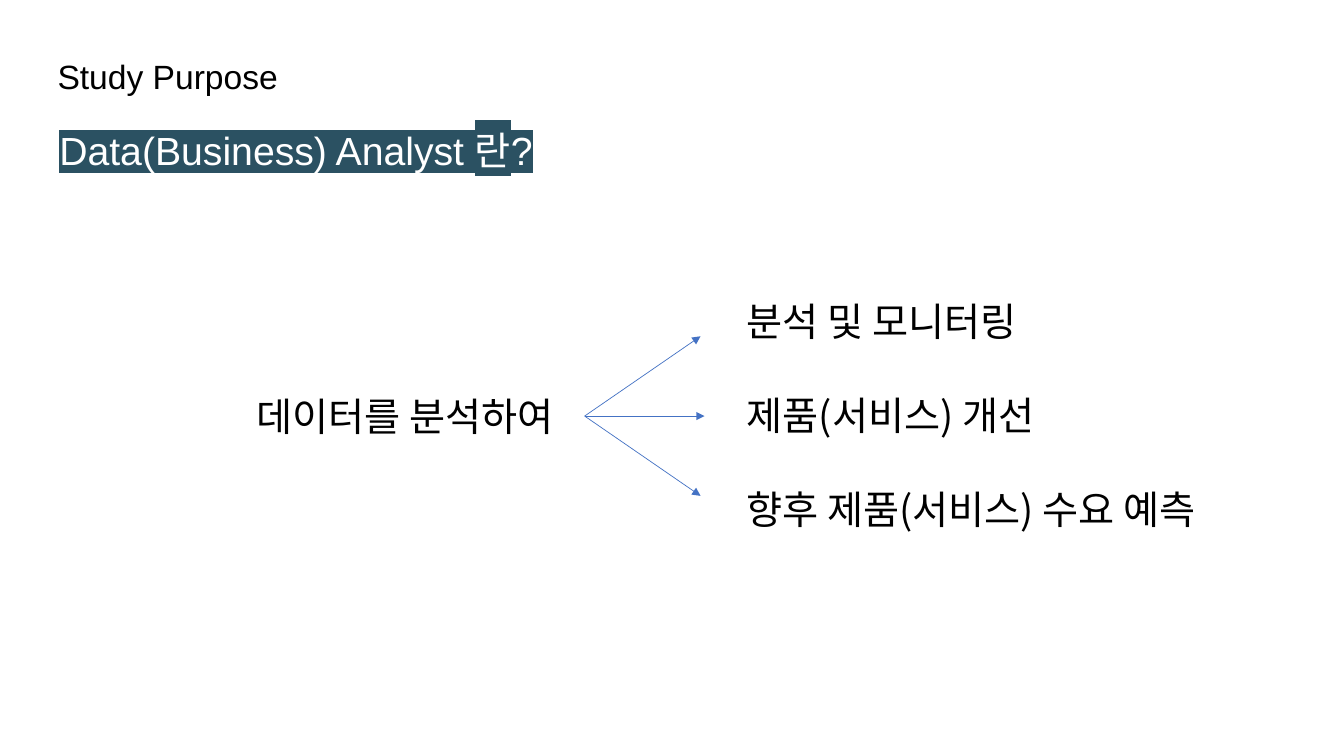
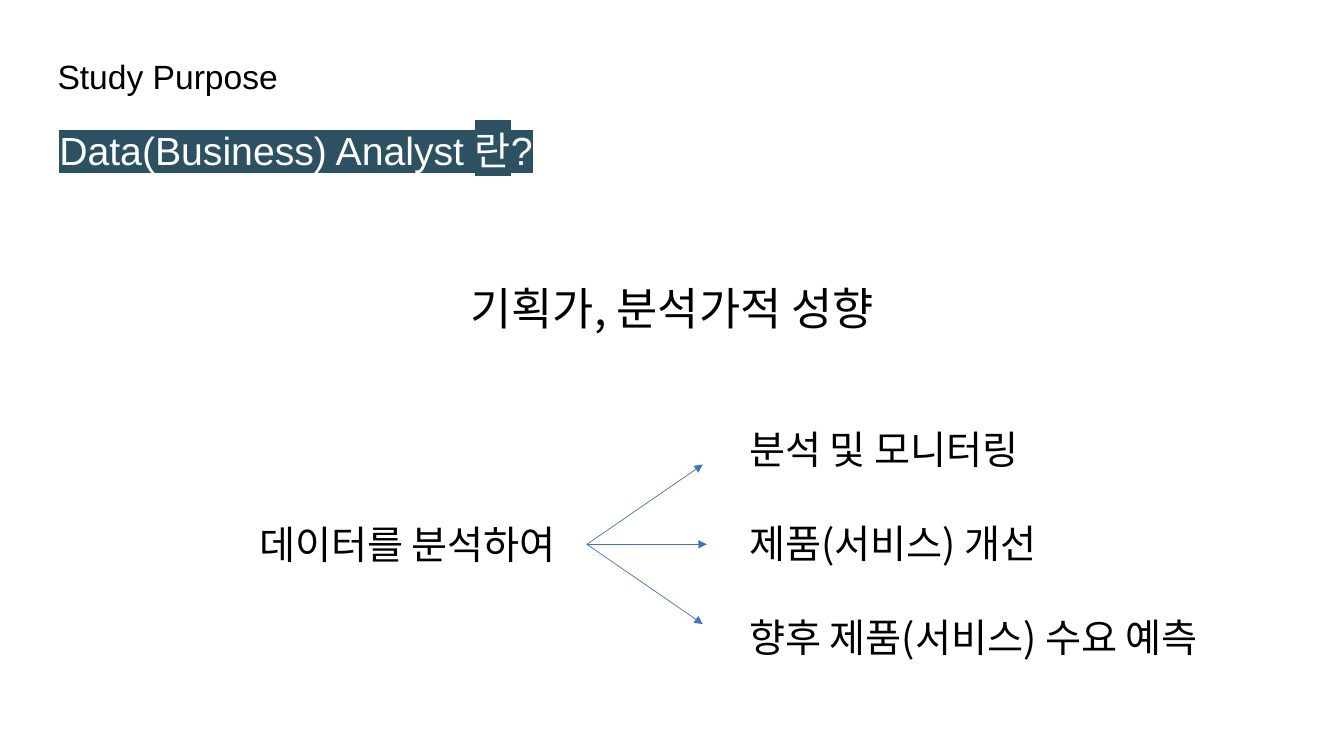
from dataclasses import dataclass

from lxml.etree import SubElement
from pptx import Presentation
from pptx.dml.color import RGBColor
from pptx.enum.shapes import MSO_CONNECTOR
from pptx.enum.text import MSO_AUTO_SIZE, PP_ALIGN
from pptx.oxml import parse_xml
from pptx.oxml.ns import nsdecls, qn
from pptx.slide import Slide
from pptx.util import Pt

LATIN, HANGUL = "Arial", "Noto Sans CJK KR"
BLACK, WHITE, TEAL, BLUE = "000000", "FFFFFF", "2B5162", "4472C4"
LINE_HEIGHT = 1.2
GOALS = ["분석 및 모니터링", "제품(서비스) 개선", "향후 제품(서비스) 수요 예측"]
ARROW_TIPS = [(82.8, -57), (85.7, 0), (82.8, 57)]


@dataclass(frozen=True)
class Box:
    left: float
    top: float
    width: float
    height: float


@dataclass(frozen=True)
class Page:
    fork_x: float
    fork_y: float
    heading: str = ""


PAGES = [Page(417.6, 297.2), Page(419.2, 388.8, "기획가, 분석가적 성향")]


def rgb(color: str) -> RGBColor:
    return RGBColor.from_string(color)


def add_text(s: Slide, box: Box, *lines: str, size: float = 28, font: str = HANGUL,
             color: str = BLACK, highlight: str = "", gap: float = 0,
             align: PP_ALIGN = PP_ALIGN.LEFT) -> None:
    sp = s.shapes.add_textbox(Pt(box.left), Pt(box.top), Pt(box.width), Pt(box.height))
    tf = sp.text_frame
    tf.word_wrap = True
    tf.auto_size = MSO_AUTO_SIZE.SHAPE_TO_FIT_TEXT
    for i, line in enumerate(lines):
        p = tf.add_paragraph() if i else tf.paragraphs[0]
        p.alignment = align
        p.line_spacing = Pt(size * LINE_HEIGHT)
        p.space_before = Pt(gap if i else 0)
        r = p.add_run()
        r.text = line
        r.font.size = Pt(size)
        r.font.name = font
        r.font.color.rgb = rgb(color)
        rpr = r.font._element
        rpr.find(qn("a:latin")).addnext(
            parse_xml(f'<a:ea {nsdecls("a")} typeface="{HANGUL}"/>'))
        if highlight:
            rpr.find(qn("a:solidFill")).addnext(parse_xml(
                f'<a:highlight {nsdecls("a")}><a:srgbClr val="{highlight}"/></a:highlight>'))


def add_arrow(s: Slide, x: float, y: float, dx: float, dy: float) -> None:
    cxn = s.shapes.add_connector(
        MSO_CONNECTOR.STRAIGHT, Pt(x), Pt(y), Pt(x + dx), Pt(y + dy))
    cxn.line.color.rgb = rgb(BLUE)
    cxn.line.width = Pt(0.5)
    sppr = cxn._element.spPr
    SubElement(sppr.find(qn("a:ln")), qn("a:tailEnd"), type="triangle")
    SubElement(sppr, qn("a:effectLst"))


def add_titles(s: Slide) -> None:
    add_text(s, Box(34, 36.7, 228, 36), "Study Purpose", size=24, font=LATIN)
    add_text(s, Box(35.3, 86.4, 404.6, 41), "Data(Business) Analyst 란?",
             font=LATIN, color=WHITE, highlight=TEAL)


def add_fork(s: Slide, x: float, y: float) -> None:
    add_text(s, Box(x + 108.8, y - 88.4, 357, 177), *GOALS, gap=28 * LINE_HEIGHT)
    add_text(s, Box(x - 241.2, y - 20.6, 232.6, 41), "데이터를 분석하여")
    for dx, dy in ARROW_TIPS:
        add_arrow(s, x, y, dx, dy)


def main() -> None:
    """Build the two study purpose slides."""
    prs = Presentation()
    prs.slide_width, prs.slide_height = Pt(960), Pt(540)
    for page in PAGES:
        s = prs.slides.add_slide(prs.slide_layouts[6])
        add_titles(s)
        add_fork(s, page.fork_x, page.fork_y)
        if page.heading:
            add_text(s, Box(308.2, 197.3, 344.2, 46), page.heading,
                     size=32, align=PP_ALIGN.CENTER)
    prs.save("out.pptx")


if __name__ == "__main__":
    main()
